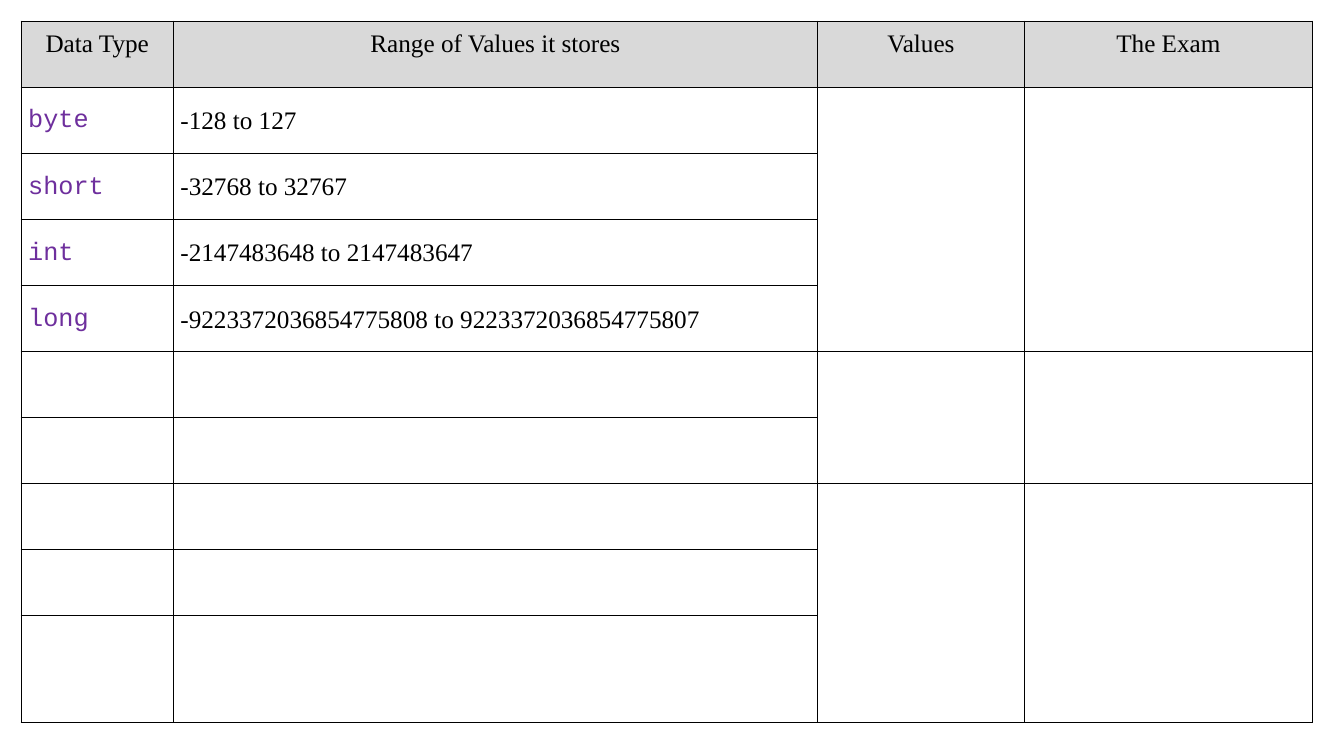
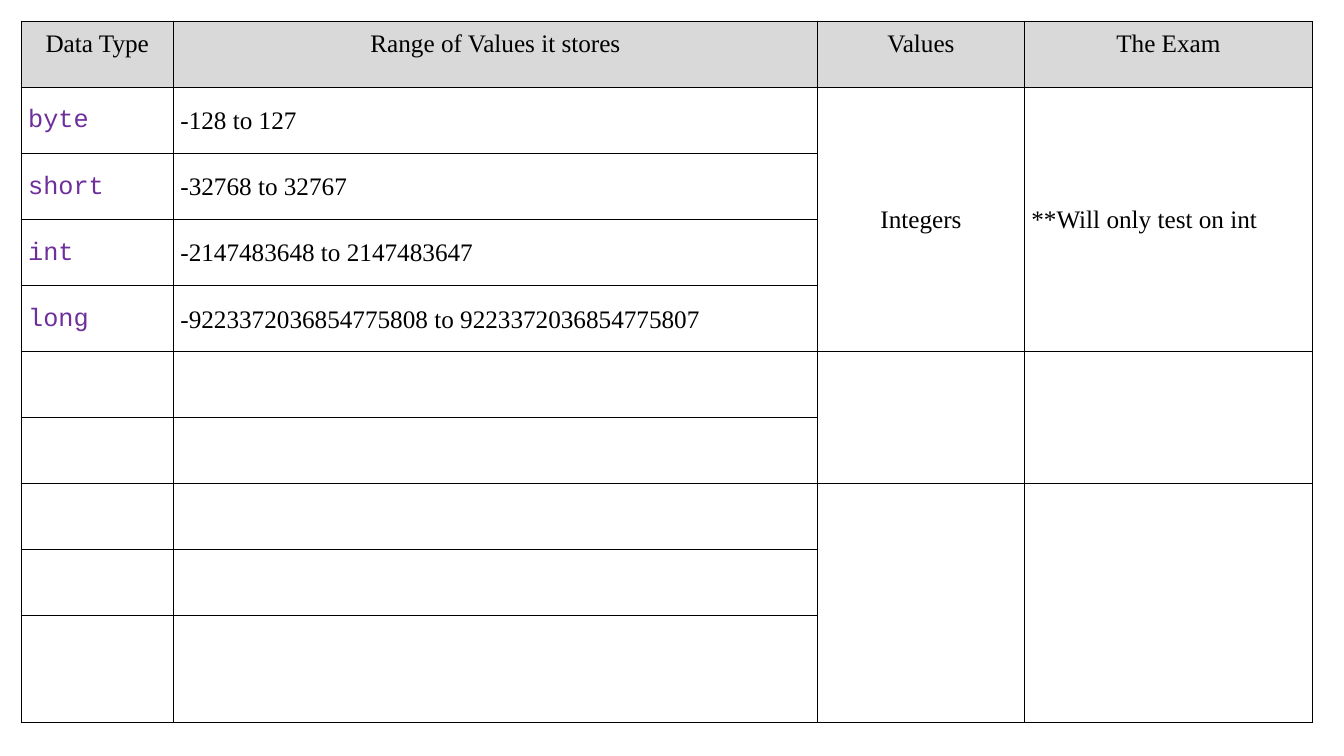
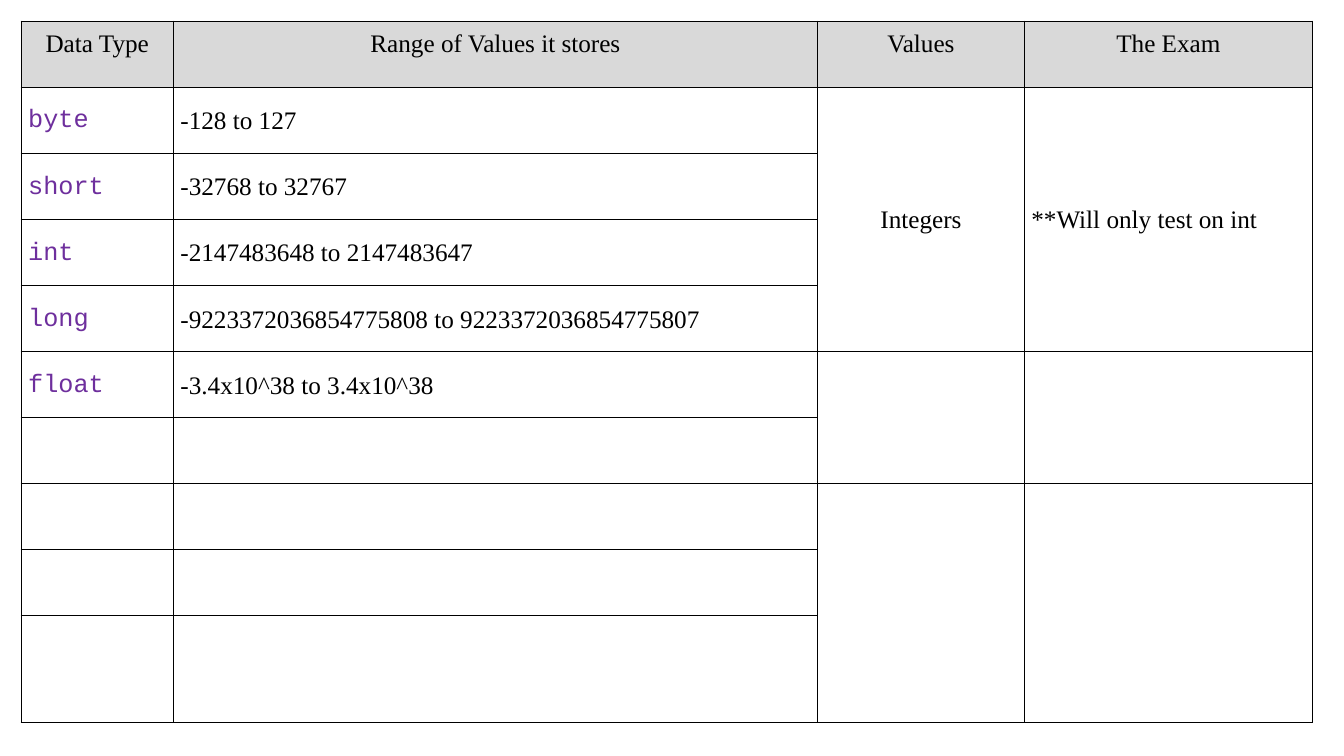
from dataclasses import dataclass

from lxml import etree
from pptx import Presentation
from pptx.dml.color import RGBColor
from pptx.enum.text import MSO_ANCHOR, PP_ALIGN
from pptx.oxml.ns import qn
from pptx.util import Inches, Pt

LEFT, CENTER = PP_ALIGN.LEFT, PP_ALIGN.CENTER
TOP, MIDDLE = MSO_ANCHOR.TOP, MSO_ANCHOR.MIDDLE
BLANK_LAYOUT = 6


@dataclass(frozen=True)
class Theme:
    text: str = "000000"
    keyword: str = "6E2F9D"
    header_fill: str = "D9D9D9"
    border: str = "000000"
    body_font: str = "Times New Roman"
    code_font: str = "Courier New"
    text_size: float = 18
    border_width: float = 1
    line_spacing: float = 1.07
    cell_margin: float = 0.07


TABLE_LEFT = TABLE_TOP = 0.21
TABLE_HEIGHT = 6.96
LAST_ROW_HEIGHT = 1.06
COLUMN_WIDTHS = [1.51, 6.39, 2.05, 2.86]
ROW_COUNT = 10
VALUE_GROUPS = [(1, 4), (5, 6), (7, 9)]  # first and last row of each merged group

HEADERS = ["Data Type", "Range of Values it stores", "Values", "The Exam"]
INTEGER_TYPES = [
    ("byte", "-128 to 127"),
    ("short", "-32768 to 32767"),
    ("int", "-2147483648 to 2147483647"),
    ("long", "-9223372036854775808 to 9223372036854775807"),
]
FLOAT_TYPE = ("float", "-3.4x10^38 to 3.4x10^38")
INTEGER_NOTE = ("Integers", "**Will only test on int")

# Each slide reveals more: the data types and the notes of the value groups
SLIDES = [
    (INTEGER_TYPES, []),
    (INTEGER_TYPES, [INTEGER_NOTE]),
    (INTEGER_TYPES + [FLOAT_TYPE], [INTEGER_NOTE]),
]


class Deck:
    def __init__(self, theme):
        self.theme = theme
        self.presentation = Presentation()
        self.presentation.slide_width = Inches(13.33)
        self.presentation.slide_height = Inches(7.5)
        self.slide = None

    def add_slide(self):
        layout = self.presentation.slide_layouts[BLANK_LAYOUT]
        self.slide = self.presentation.slides.add_slide(layout)

    def add_grid(self):
        """Add the empty bordered table with its merged groups."""
        table = self.slide.shapes.add_table(
            ROW_COUNT, len(COLUMN_WIDTHS), Inches(TABLE_LEFT), Inches(TABLE_TOP),
            Inches(sum(COLUMN_WIDTHS)), Inches(TABLE_HEIGHT)).table
        table.first_row = table.horz_banding = False
        for column, width in zip(table.columns, COLUMN_WIDTHS):
            column.width = Inches(width)
        row_height = (TABLE_HEIGHT - LAST_ROW_HEIGHT) / (ROW_COUNT - 1)
        for row in table.rows:
            row.height = Inches(row_height)
        table.rows[ROW_COUNT - 1].height = Inches(LAST_ROW_HEIGHT)
        for cell in table.iter_cells():
            self.set_borders(cell)
            cell.fill.background()
        for first, last in VALUE_GROUPS:
            for column in (2, 3):
                table.cell(first, column).merge(table.cell(last, column))
        return table

    def set_borders(self, cell):
        properties = cell._tc.get_or_add_tcPr()
        for side in ("a:lnL", "a:lnR", "a:lnT", "a:lnB"):
            line = etree.SubElement(properties, qn(side), w=str(Pt(self.theme.border_width)))
            fill = etree.SubElement(line, qn("a:solidFill"))
            etree.SubElement(fill, qn("a:srgbClr"), val=self.theme.border)

    def write_cell(self, cell, text, alignment=LEFT, anchor=MIDDLE, code=False):
        theme = self.theme
        cell.margin_left = cell.margin_right = Inches(theme.cell_margin)
        cell.margin_top = cell.margin_bottom = Inches(theme.cell_margin)
        cell.vertical_anchor = anchor
        paragraph = cell.text_frame.paragraphs[0]
        paragraph.text = text
        paragraph.alignment = alignment
        paragraph.line_spacing = theme.line_spacing
        font = paragraph.runs[0].font
        font.size = Pt(theme.text_size)
        font.name = theme.code_font if code else theme.body_font
        font.color.rgb = RGBColor.from_string(theme.keyword if code else theme.text)

    def add_type_table(self, data_types, group_notes):
        table = self.add_grid()
        for column, header in enumerate(HEADERS):
            cell = table.cell(0, column)
            self.write_cell(cell, header, CENTER, TOP)
            cell.fill.solid()
            cell.fill.fore_color.rgb = RGBColor.from_string(self.theme.header_fill)
        for row, (name, value_range) in enumerate(data_types, start=1):
            self.write_cell(table.cell(row, 0), name, code=True)
            self.write_cell(table.cell(row, 1), value_range)
        for (first, _), (values, exam) in zip(VALUE_GROUPS, group_notes):
            self.write_cell(table.cell(first, 2), values, CENTER)
            self.write_cell(table.cell(first, 3), exam)


def main():
    deck = Deck(Theme())
    for data_types, group_notes in SLIDES:
        deck.add_slide()
        deck.add_type_table(data_types, group_notes)
    deck.presentation.save("out.pptx")


if __name__ == "__main__":
    main()
